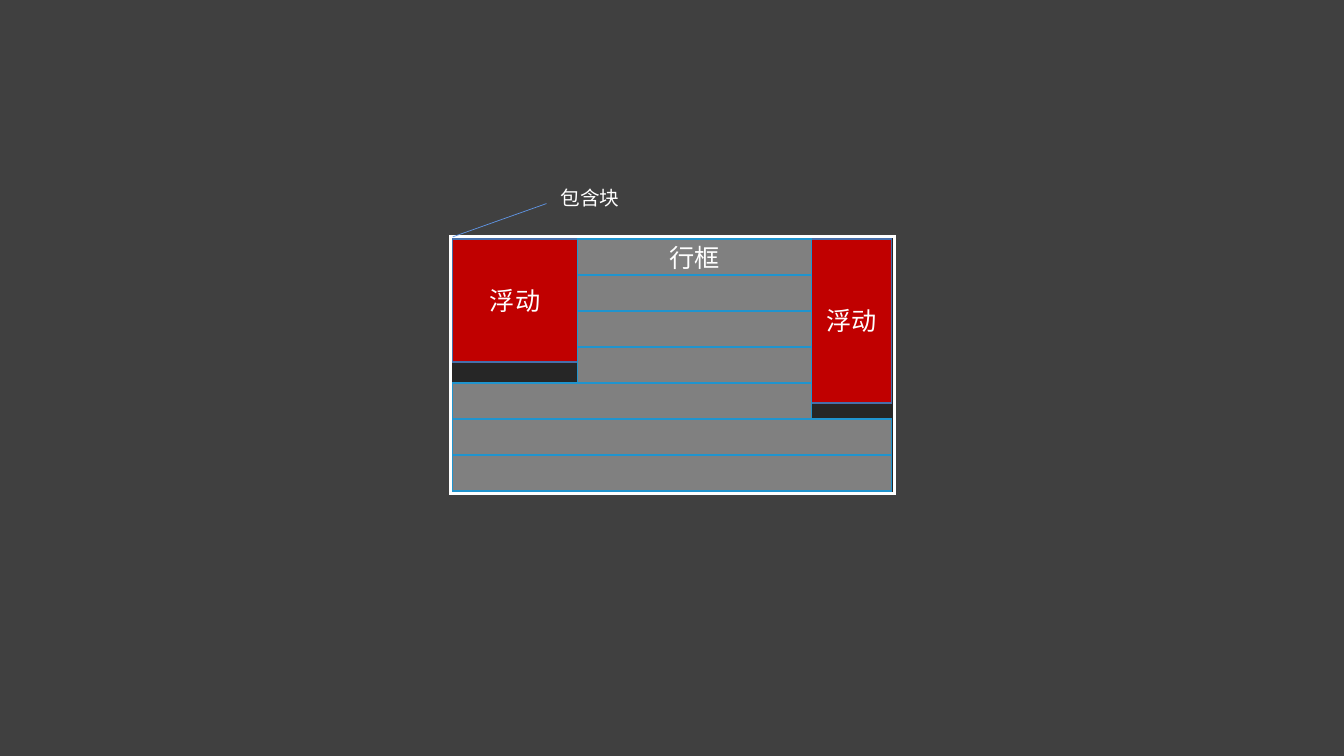
import pptx
import pptx.dml.color
import pptx.enum.shapes
import pptx.enum.text
import pptx.oxml
import pptx.util
from pptx.util import Inches

DRAWING = "http://schemas.openxmlformats.org/drawingml/2006/main"

# Content area inside the containing block
LEFT, TOP, RIGHT = 4.49, 2.37, 8.84
LEFT_FLOAT_END, RIGHT_FLOAT_START = 5.73, 8.05
LINE_HEIGHT = 2.5 / 7

CONTAINER = (4.47, 2.35, 4.4, 2.55)
FLOATS = [
    (LEFT, TOP, LEFT_FLOAT_END - LEFT, 1.22),
    (RIGHT_FLOAT_START, TOP, RIGHT - RIGHT_FLOAT_START, 1.63),
]
# Start and end of each line box, from top to bottom
LINE_SPANS = (
    [(LEFT_FLOAT_END, RIGHT_FLOAT_START)] * 4
    + [(LEFT, RIGHT_FLOAT_START)]
    + [(LEFT, RIGHT)] * 2
)
LABELS = [
    ("浮动", (4.76, 2.78, 0.7, 0.4), 18),
    ("浮动", (8.1, 2.98, 0.7, 0.4), 18),
    ("行框", (6.54, 2.35, 0.7, 0.4), 18),
    ("包含块", (5.46, 1.8, 0.8, 0.34), 14),
]
LEADER = (5.42, 2.02, LEFT, 2.35)


def color(value):
    """Turn a hex string into a colour."""
    return pptx.dml.color.RGBColor.from_string(value)


def add_xml(parent, tag):
    """Append an empty drawing element to a parent."""
    parent.append(pptx.oxml.parse_xml(f'<a:{tag} xmlns:a="{DRAWING}"/>'))


def style_line(shape, value, width):
    """Set the colour, the width in points and square corners of a line."""
    shape.line.color.rgb = color(value)
    shape.line.width = pptx.util.Pt(width)
    add_xml(shape.line._get_or_add_ln(), "miter")


def add_block(page, place, fill, line, width=1):
    """Draw a filled, outlined rectangle."""
    block = page.shapes.add_shape(
        pptx.enum.shapes.MSO_SHAPE.RECTANGLE, *map(Inches, place))
    block.shadow.inherit = False
    block.fill.solid()
    block.fill.fore_color.rgb = color(fill)
    style_line(block, line, width)


def add_label(page, text, place, size):
    """Write a white one-line label."""
    frame = page.shapes.add_textbox(*map(Inches, place)).text_frame
    frame.word_wrap = False
    frame.auto_size = pptx.enum.text.MSO_AUTO_SIZE.SHAPE_TO_FIT_TEXT
    span = frame.paragraphs[0].add_run()
    span.text = text
    for name, value in {"name": "Arial", "size": pptx.util.Pt(size)}.items():
        setattr(span.font, name, value)
    span.font.color.rgb = color("FFFFFF")


def add_leader(page, ends):
    """Draw the thin line from the label to the containing block."""
    leader = page.shapes.add_connector(
        pptx.enum.shapes.MSO_CONNECTOR.STRAIGHT, *map(Inches, ends))
    style_line(leader, "6096E6", 0.5)
    add_xml(leader._element.spPr, "effectLst")


deck = pptx.Presentation()
deck.slide_width, deck.slide_height = Inches(13.33), Inches(7.5)
page = deck.slides.add_slide(deck.slide_layouts[6])
page.background.fill.solid()
page.background.fill.fore_color.rgb = color("404040")

add_block(page, CONTAINER, "262626", "FFFFFF", 2.25)
for place in FLOATS:
    add_block(page, place, "C00000", "476FAA")
for row, (start, end) in enumerate(LINE_SPANS):
    place = (start, TOP + row * LINE_HEIGHT, end - start, LINE_HEIGHT)
    add_block(page, place, "808080", "2094CE")
add_leader(page, LEADER)
for label in LABELS:
    add_label(page, *label)

deck.save("out.pptx")
